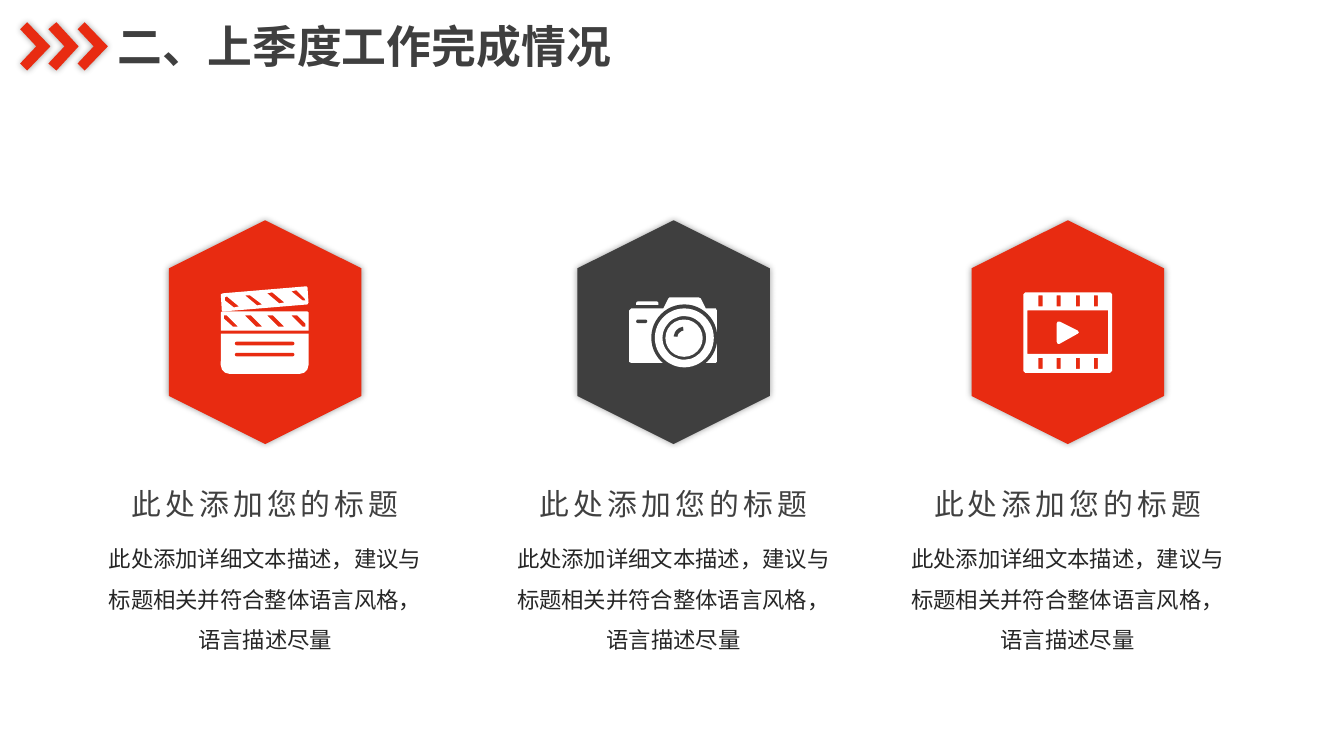
import pptx
import pptx.dml.color
import pptx.enum.shapes
import pptx.enum.text
import pptx.oxml
import pptx.oxml.ns
import pptx.util
import lxml.etree

KIND = pptx.enum.shapes.MSO_SHAPE
ALIGN = pptx.enum.text.PP_ALIGN
FACE = "Noto Sans CJK SC"
RED, DARK, WHITE = "E82B11", "3F3F3F", "FFFFFF"
CELL = pptx.util.Inches(0.01)  # the grid has 1333 columns and 750 rows

deck = pptx.Presentation()
deck.slide_width, deck.slide_height = 1333 * CELL, 750 * CELL
page = deck.slides.add_slide(deck.slide_layouts[6]).shapes


def paint(shape, tint, glow=False):
    """Fill a shape without outline; glow adds a soft, centred shadow."""
    shape.fill.solid()
    shape.fill.fore_color.rgb = pptx.dml.color.RGBColor.from_string(tint)
    shape.line.fill.background()
    shape.shadow.inherit = False
    if glow:
        soft = pptx.oxml.parse_xml(
            '<a:outerShdw xmlns:a="http://schemas.openxmlformats.org/drawingml/2006/main"'
            ' blurRad="63500" dist="0" dir="0" algn="ctr" rotWithShape="0">'
            '<a:srgbClr val="000000"><a:alpha val="40000"/></a:srgbClr></a:outerShdw>')
        shape.element.spPr.find(pptx.oxml.ns.qn("a:effectLst")).append(soft)


def trace(box, x, y, loops):
    """Draw closed loops, given relative to (x, y), as one shape with holes."""
    pen = None
    for loop in loops:
        spots = [(x + dx, y + dy) for dx, dy in loop]
        if pen is None:
            pen = box.build_freeform(*spots[0], scale=CELL)
        else:
            pen.move_to(*spots[0])
        pen.add_line_segments(spots[1:], close=True)
    return pen.convert_to_shape()


# Chevrons beside the title
chevron = [(0, 7), (7, 0), (30, 24), (7, 48), (0, 41), (16, 24)]
for x in (20, 48.5, 77):
    paint(trace(page, x, 22, [chevron]), RED, True)

# Icon parts: relative to the hexagon's centre, from back to front
lid = [
    [(-44, -38), (-42, -39), (41, -46), (42, -45), (43, -30), (42, -28), (-42, -21), (-43, -22)],
    [(-40, -32), (-40, -35), (-38, -36), (-26, -26), (-31, -25)],
    [(-20, -37), (-15, -37), (-3, -28), (-8, -27)],
    [(2, -39), (7, -40), (19, -30), (14, -29)],
    [(26, -41), (31, -42), (39, -34), (40, -32), (37, -32)],
]
slate = [
    [(-44, -20), (-43, -21), (42, -21), (43, -20), (43, -2), (-44, -2)],
    [(-41, -17), (-38, -17), (-27, -6), (-32, -6), (-41, -14)],
    *[[(x, -17), (x + 6, -17), (x + 17, -6), (x + 11, -6)] for x in (-20, 2)],
    [(26, -17), (32, -17), (40, -9), (40, -6), (37, -6)],
]
clapper = [
    (None, WHITE, lid),
    (None, WHITE, slate),
    (KIND.ROUND_2_SAME_RECTANGLE, WHITE, (-44, 1, 87, 40), (0, 0.22)),
    *[(KIND.ROUNDED_RECTANGLE, RED, (-30, y, 59, 3.5), (0.5,)) for y in (9, 20)],
]

body = [(-44, -22), (-42, -24), (-10, -24), (-5, -34), (-4, -35), (25, -35),
        (27, -34), (32, -24), (42, -24), (43, -22), (43, 29), (42, 30), (-42, 30), (-44, 29)]
camera = [
    (None, WHITE, [body]),
    (KIND.ROUND_2_SAME_RECTANGLE, WHITE, (-37, -31, 22, 3.5), (0.5, 0)),
    (KIND.ROUNDED_RECTANGLE, DARK, (-37, -13, 11, 3.5), (0.5,)),
    (KIND.OVAL, DARK, (-22, -28, 65.5, 66), ()),
    (KIND.DONUT, WHITE, (-18.5, -24, 58.5, 58.5), (0.13,)),
    (KIND.OVAL, WHITE, (-8, -13, 37, 37), ()),
    (KIND.BLOCK_ARC, DARK, (0, -6, 22, 22), (112, 157, 0.17)),
]

holes = [(-29 + 55 * i / 3, y) for y in (-37, 25) for i in range(4)]
strip = [
    [(-44, -38), (-42, -40), (42, -40), (44, -38), (44, 38), (42, 40), (-42, 40), (-44, 38)],
    [(-40, -22), (40, -22), (40, 21), (-40, 21)],
    *[[(x, y), (x + 4, y), (x + 4, y + 11), (x, y + 11)] for x, y in holes],
]
play = [(-10, -11), (-8, -11), (10, -2), (11, 0), (10, 1), (-8, 11), (-10, 11), (-11, 9), (-11, -9)]
film = [(None, WHITE, strip), (None, WHITE, [play])]

# Text: parent, place, wording, wrap, alignment, line spacing, tracking, font
texts = [(page, (107, 14, 514, 64), "二、上季度工作完成情况", False, ALIGN.LEFT, 1, 0,
          {"size": pptx.util.Pt(32), "bold": True}, DARK)]

# Columns: hexagon with its icon, then heading and description
mid = 330
for x, tint, icon in ((263, RED, clapper), (668, DARK, camera), (1059, RED, film)):
    box = page.add_group_shape().shapes
    hexagon = box.add_shape(KIND.HEXAGON, (x - 111) * CELL, (mid - 0.5 - 95.5) * CELL,
                            222 * CELL, 191 * CELL)
    hexagon.rotation = 90
    paint(hexagon, tint, True)
    for kind, hue, form, *rest in icon:
        if kind is None:
            part = trace(box, x, mid, form)
        else:
            dx, dy, w, h = form
            part = box.add_shape(kind, *[int(n * CELL) for n in (x + dx, mid + dy, w, h)])
            for i, ratio in enumerate(rest[0]):
                part.adjustments[i] = ratio
        paint(part, hue)

    words = page.add_group_shape().shapes
    texts += [
        (words, (x - 175, 523, 350, 131),
         "此处添加详细文本描述，建议与标题相关并符合整体语言风格，语言描述尽量",
         True, ALIGN.CENTER, 1.5, 0, {"size": pptx.util.Pt(16)}, "262626"),
        (words, (x - 147, 477, 294, 46), "此处添加您的标题",
         False, ALIGN.CENTER, 1, 300, {"size": pptx.util.Pt(21.3)}, "404040"),
    ]

for home, place, wording, wrap, align, pitch, track, style, tint in texts:
    frame = home.add_textbox(*[n * CELL for n in place]).text_frame
    frame.word_wrap = wrap
    frame.auto_size = pptx.enum.text.MSO_AUTO_SIZE.SHAPE_TO_FIT_TEXT
    para = frame.paragraphs[0]
    para.alignment, para.line_spacing = align, pitch
    run = para.add_run()
    run.text = wording
    for name, value in {"name": FACE, **style}.items():
        setattr(run.font, name, value)
    run.font.color.rgb = pptx.dml.color.RGBColor.from_string(tint)
    props = run._r.get_or_add_rPr()
    lxml.etree.SubElement(props, pptx.oxml.ns.qn("a:ea"), typeface=FACE)
    if track:
        props.set("spc", str(track))

deck.save("out.pptx")
